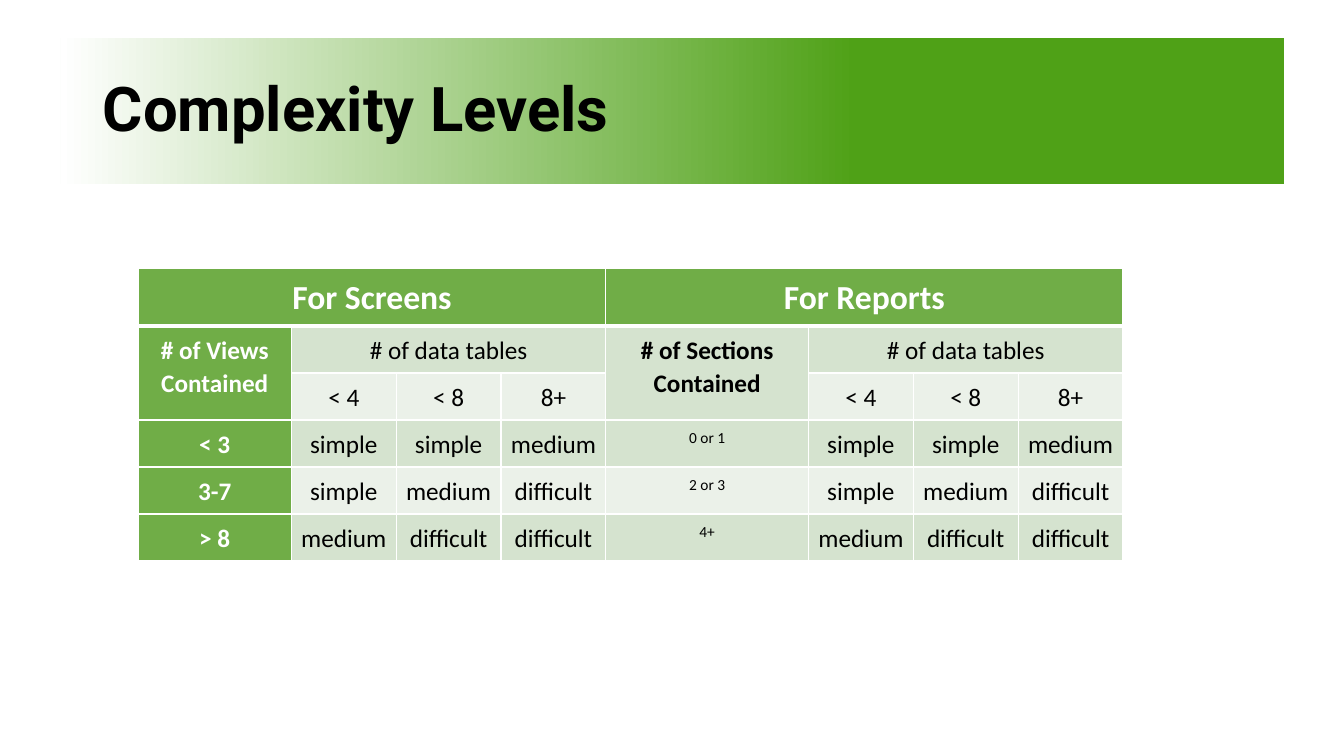
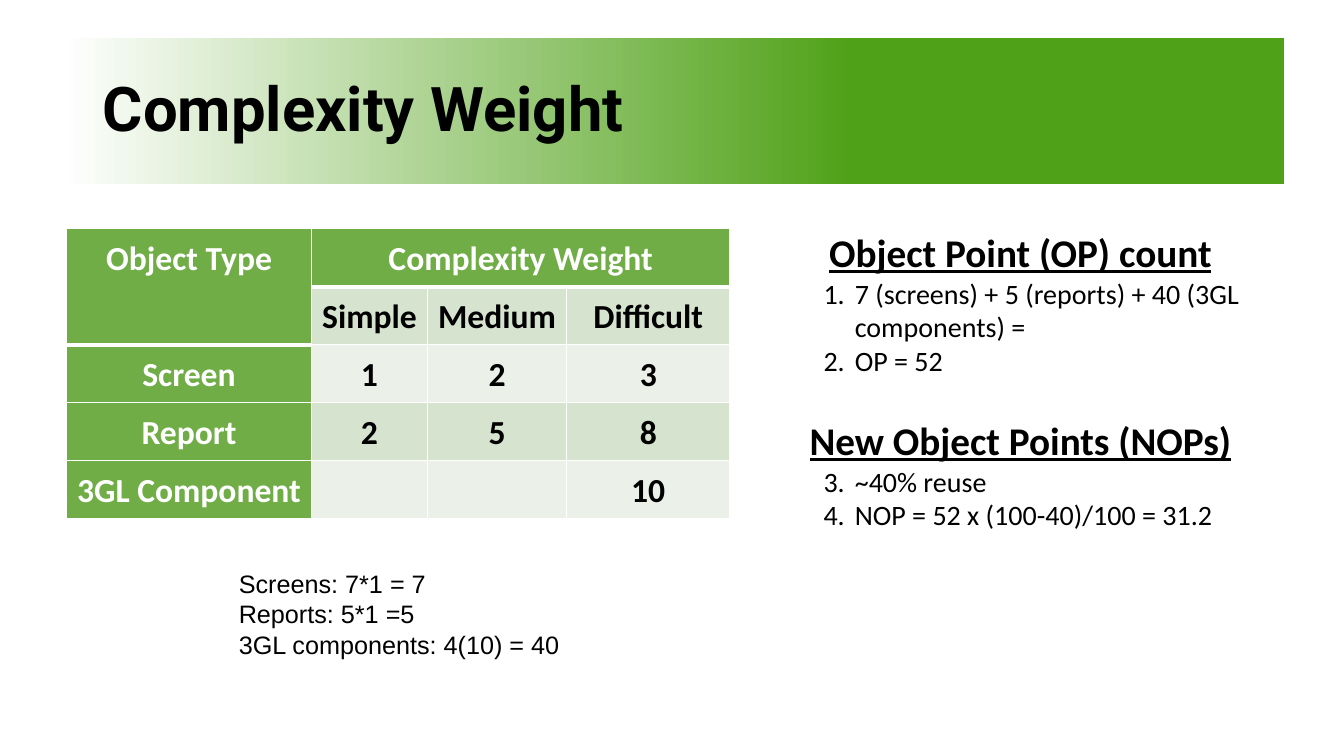
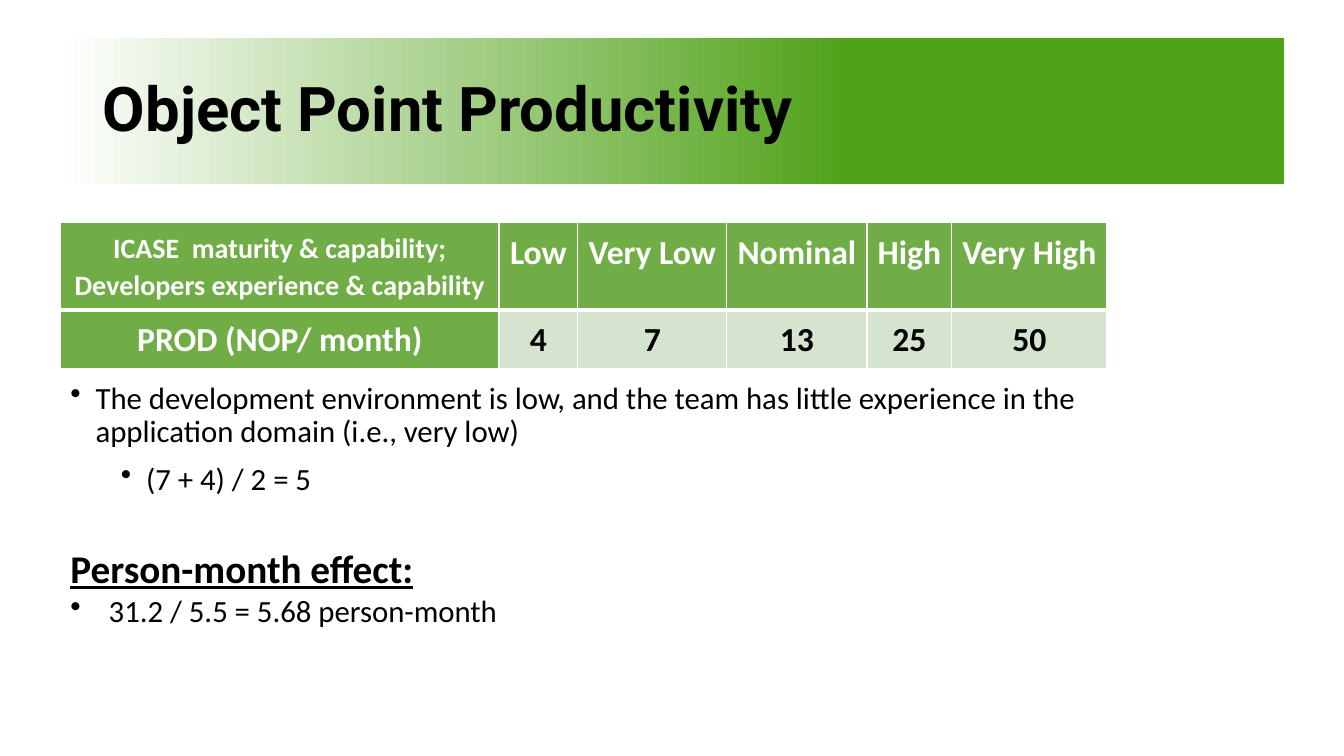
"""Build three slides on object point estimation: levels, weights and productivity."""
from lxml import etree
from pptx import Presentation
from pptx.dml.color import RGBColor
from pptx.enum.shapes import MSO_SHAPE
from pptx.enum.text import MSO_ANCHOR, MSO_AUTO_SIZE, PP_ALIGN
from pptx.oxml.ns import qn
from pptx.util import Inches, Pt

RECTANGLE = MSO_SHAPE.RECTANGLE
MIDDLE = MSO_ANCHOR.MIDDLE
NO_AUTOFIT = MSO_AUTO_SIZE.NONE
LEFT, CENTER = PP_ALIGN.LEFT, PP_ALIGN.CENTER

BLACK, WHITE = "000000", "FFFFFF"
BAND_GREEN, HEADER_GREEN = "4FA117", "70AD47"
EVEN_ROW, ODD_ROW = "EBF1E9", "D5E3CF"
color = RGBColor.from_string


def write(para, text, size, font="Calibri", shade=BLACK, bold=False, underline=False):
    """Add one formatted run to a paragraph."""
    span = para.add_run()
    span.text = text
    span.font.name = font
    span.font.size = Pt(size)
    span.font.bold = bold
    span.font.underline = underline
    span.font.color.rgb = color(shade)


def add_grid(page, left, top, widths, heights, rows, merges, body_size, body_bold):
    """Add a table with a green first row and column and banded body rows."""
    table = page.shapes.add_table(
        len(rows), len(widths), Inches(left), Inches(top),
        Inches(sum(widths)), Inches(sum(heights))).table
    for column, width in zip(table.columns, widths):
        column.width = Inches(width)
    for row, height in zip(table.rows, heights):
        row.height = Inches(height)
    for r, texts in enumerate(rows):
        for c, text in enumerate(texts):
            cell = table.cell(r, c)
            is_header = r == 0 or c == 0
            cell.margin_left = cell.margin_right = Inches(0.07)
            cell.margin_top = cell.margin_bottom = Inches(0.07)
            for side in "LRTB":
                points = 3 if r == 0 and side == "B" else 1
                line = etree.SubElement(cell._tc.get_or_add_tcPr(), qn(f"a:ln{side}"), w=str(Pt(points)))
                paint = etree.SubElement(line, qn("a:solidFill"))
                etree.SubElement(paint, qn("a:srgbClr"), val=WHITE)
            cell.fill.solid()
            band_fill = ODD_ROW if r % 2 else EVEN_ROW
            cell.fill.fore_color.rgb = color(HEADER_GREEN if is_header else band_fill)
            if text:
                para = cell.text_frame.paragraphs[0]
                para.alignment = CENTER
                para.line_spacing = 1.07
                write(para, text, 24 if r == 0 else body_size,
                      shade=WHITE if is_header else BLACK, bold=is_header or body_bold)
    for first_row, first_column, last_row, last_column in merges:
        table.cell(first_row, first_column).merge(table.cell(last_row, last_column))
    return table


deck = Presentation()
deck.slide_width, deck.slide_height = Inches(13.33), Inches(7.5)

pages = []
for heading in ("Complexity Levels", "Complexity Weight", "Object Point Productivity"):
    page = deck.slides.add_slide(deck.slide_layouts[5])
    band = page.shapes.add_shape(RECTANGLE, Inches(0.6), Inches(0.38), Inches(12.14), Inches(1.45))
    band.shadow.inherit = False
    band.line.fill.background()
    band.fill.gradient()
    band.fill.gradient_angle = 180
    for stop, position, shade in zip(band.fill.gradient_stops, (0.35, 1), (BAND_GREEN, WHITE)):
        stop.position = position
        stop.color.rgb = color(shade)
    page.shapes._spTree.insert(2, band._element)

    title = page.shapes.title
    title.left, title.top = Inches(0.92), Inches(0.38)
    title.width, title.height = Inches(11.5), Inches(1.45)
    title.text_frame.vertical_anchor = MIDDLE
    title.text_frame.auto_size = NO_AUTOFIT
    para = title.text_frame.paragraphs[0]
    para.alignment = LEFT
    para.line_spacing = 0.9
    write(para, heading, 44, font="Roboto", bold=True)
    pages.append(page)
levels_page, weight_page, productivity_page = pages

limits = ["< 4", "< 8", "8+"]
ratings = [["simple", "simple", "medium"],
           ["simple", "medium", "difficult"],
           ["medium", "difficult", "difficult"]]
level_rows = [
    ["For Screens", "", "", "", "For Reports", "", "", ""],
    ["# of Views Contained", "# of data tables", "", "", "# of Sections Contained", "# of data tables", "", ""],
    ["", *limits, "", *limits],
]
for views, sections, rating in zip(["< 3", "3-7", "> 8"], ["0 or 1", "2 or 3", "4+"], ratings):
    level_rows.append([views, *rating, sections, *rating])
level_merges = []
for c in (0, 4):
    level_merges += [(0, c, 0, c + 3), (1, c, 2, c), (1, c + 1, 1, c + 3)]
levels = add_grid(levels_page, 1.37, 2.66, [1.52] + [1.04] * 3 + [2.01] + [1.04] * 3,
                  [0.57] + [0.46] * 5, level_rows, level_merges, 18, False)
levels.cell(1, 4).text_frame.paragraphs[0].runs[0].font.bold = True
for r in range(3, 6):
    levels.cell(r, 4).text_frame.paragraphs[0].runs[0].font.size = Pt(11)

weight_rows = [
    ["Object Type", "Complexity Weight", "", ""],
    ["", "Simple", "Medium", "Difficult"],
    ["Screen", "1", "2", "3"],
    ["Report", "2", "5", "8"],
    ["3GL Component", "", "", "10"],
]
add_grid(weight_page, 0.66, 2.27, [2.43, 1.15, 1.38, 1.62], [0.57] * 5,
         weight_rows, [(0, 0, 1, 0), (0, 1, 0, 3)], 24, True)

productivity_rows = [
    ["ICASE  maturity & capability; Developers experience & capability",
     "Low", "Very Low", "Nominal", "High", "Very High"],
    ["PROD (NOP/ month)", "4", "7", "13", "25", "50"],
]
productivity = add_grid(productivity_page, 0.6, 2.21, [4.35, 0.78, 1.48, 1.39, 0.84, 1.54],
                        [0.86, 0.57], productivity_rows, [], 24, True)
productivity.cell(0, 0).text_frame.paragraphs[0].runs[0].font.size = Pt(20)

plain = {"size": 18, "font": "Arial"}
numbered = {"size": 20}
bulleted = {"size": 22}
strong = {"size": 28, "bold": True, "underline": True}
first_list = ("buAutoNum", {"type": "arabicPeriod"}, 0.81, 0.31)
second_list = ("buAutoNum", {"type": "arabicPeriod", "startAt": "3"}, 0.81, 0.31)
outer_dot, inner_dot, wide_dot = [
    ("buChar", {"char": "•"}, left, hanging)
    for left, hanging in ((0.25, 0.25), (0.75, 0.25), (0.38, 0.38))]

text_boxes = [
    (weight_page, (2.27, 5.59, 3.4, 1.31), [
        ("Screens: 7*1 = 7", plain, None, LEFT, 1, 0),
        ("Reports: 5*1 =5", plain, None, LEFT, 1, 0),
        ("3GL components: 4(10) = 40", plain, None, LEFT, 1, 0),
    ]),
    (weight_page, (7.57, 2.27, 5.1, 3.68), [
        ("Object Point (OP) count", strong, None, CENTER, 0.9, 10),
        ("7 (screens) + 5 (reports) + 40 (3GL components) =", numbered, first_list, LEFT, 1, 0),
        ("OP = 52", numbered, first_list, LEFT, 1, 0),
        ("New Object Points (NOPs)", strong, None, CENTER, 0.9, 32),
        ("~40% reuse", numbered, second_list, LEFT, 1, 0),
        ("NOP = 52 x (100-40)/100 = 31.2", numbered, second_list, LEFT, 1, 0),
    ]),
    (productivity_page, (0.6, 3.75, 10.38, 3.13), [
        ("The development environment is low, and the team has little experience in the "
         "application domain (i.e., very low)", bulleted, outer_dot, LEFT, 0.9, 10),
        ("(7 + 4) / 2 = 5", bulleted, inner_dot, LEFT, 0.9, 10),
        ("Person-month effect:", strong, None, LEFT, 1, 34),
        ("31.2 / 5.5 = 5.68 person-month", bulleted, wide_dot, LEFT, 1, 0),
    ]),
]
for page, place, lines in text_boxes:
    frame = page.shapes.add_textbox(*[Inches(length) for length in place]).text_frame
    frame.word_wrap = True
    for number, (text, style, bullet, alignment, spacing, before) in enumerate(lines):
        para = frame.add_paragraph() if number else frame.paragraphs[0]
        para.alignment = alignment
        para.line_spacing = spacing
        para.space_before = Pt(before)
        if bullet:
            tag, attributes, left, hanging = bullet
            properties = para._p.get_or_add_pPr()
            properties.set("marL", str(Inches(left)))
            properties.set("indent", str(-Inches(hanging)))
            etree.SubElement(properties, qn(f"a:{tag}"), attributes)
        write(para, text, **style)

deck.save("out.pptx")
